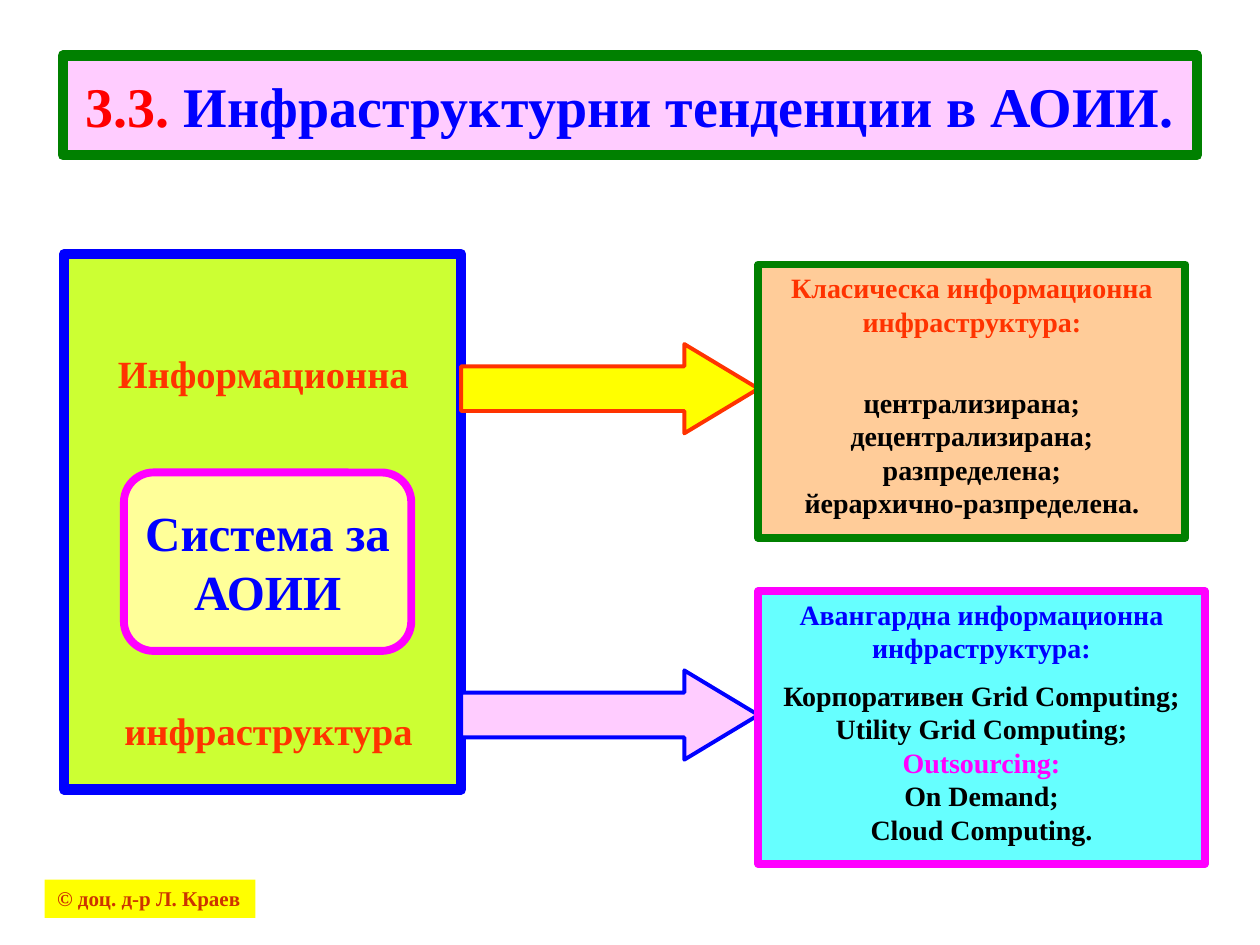
import pptx
import pptx.util
import pptx.dml.color
import pptx.enum.shapes
import pptx.enum.text

Pt = pptx.util.Pt
SHAPE = pptx.enum.shapes.MSO_SHAPE
ANCHOR = pptx.enum.text.MSO_ANCHOR
ALIGN = pptx.enum.text.PP_ALIGN

THEME = {
    "font": "Times New Roman",
    "sizes": {"title": 32, "system": 28, "label": 22, "body": 16, "credit": 12},
    "colors": {
        "red": "FF0000", "blue": "0000FF", "green": "008000", "pink": "FFCCFF",
        "yellow": "FFFF00", "brick": "CC3300", "lime": "CCFF33", "cream": "FFFF99",
        "magenta": "FF00FF", "orange": "FF3300", "peach": "FFCC99",
        "cyan": "66FFFF", "black": "000000",
    },
}

TITLE = [(0, [("3.3. ", "red"), ("Инфраструктурни тенденции в АОИИ.", "blue")])]
CREDIT = [(0, [("© доц. д-р Л. Краев", "brick")])]
SYSTEM = [(0, [("Система за\nАОИИ", "blue")])]
LABELS = [
    ("Информационна", (48.2, 196.6, 204.5, 33.8)),
    ("инфраструктура", (59.8, 400.3, 187.2, 33.8)),
]
BRANCHES = [
    {
        "arrow": ("yellow", "orange"), "box": ("peach", "green"), "width": 244,
        "text": [
            (0, [("Класическа информационна\nинфраструктура:", "orange")]),
            (27, [("централизирана;\nдецентрализирана;\nразпределена;\n"
                   "йерархично-разпределена.", "black")]),
        ],
    },
    {
        "arrow": ("pink", "blue"), "box": ("cyan", "magenta"), "width": 255,
        "text": [
            (0, [("Авангардна информационна\nинфраструктура:", "blue")]),
            (8, [("Корпоративен Grid Computing;\nUtility Grid Computing;\n", "black"),
                 ("Outsourcing:\n", "magenta"),
                 ("On Demand;\nCloud Computing.", "black")]),
        ],
    },
]
BRANCH_LEFT, BRANCH_RIGHT = 263.5, 433.4
ARROW_TOP, BOX_TOP, BRANCH_STEP = 196.6, 151.2, 186.5


def color(name):
    return pptx.dml.color.RGBColor.from_string(THEME["colors"][name])


def add_shape(page, kind, place, fill, line=None, weight=0):
    shape = page.shapes.add_shape(kind, *map(Pt, place))
    shape.shadow.inherit = False
    shape.fill.solid()
    shape.fill.fore_color.rgb = color(fill)
    if line:
        shape.line.color.rgb = color(line)
        shape.line.width = Pt(weight)
    else:
        shape.line.fill.background()
    return shape


def write(shape, paragraphs, size, anchor=ANCHOR.TOP, align=ALIGN.CENTER, wrap=True):
    frame = shape.text_frame
    frame.word_wrap = wrap
    frame.vertical_anchor = anchor
    for index, (space, spans) in enumerate(paragraphs):
        para = frame.add_paragraph() if index else frame.paragraphs[0]
        para.alignment = align
        para.space_before = Pt(space)
        for text, tint in spans:
            for row, words in enumerate(text.split("\n")):
                if row:
                    para.add_line_break()
                if words:
                    span = para.add_run()
                    span.text = words
                    span.font.name = THEME["font"]
                    span.font.size = Pt(THEME["sizes"][size])
                    span.font.bold = True
                    span.font.color.rgb = color(tint)


def main():
    deck = pptx.Presentation()
    deck.slide_width, deck.slide_height = Pt(720), Pt(540)
    page = deck.slides.add_slide(deck.slide_layouts[6])

    title = add_shape(page, SHAPE.RECTANGLE, (36, 31.7, 648, 57), "pink", "green", 6)
    write(title, TITLE, "title", ANCHOR.MIDDLE)

    credit = add_shape(page, SHAPE.RECTANGLE, (25.5, 502.7, 120.5, 21.8), "yellow")
    write(credit, CREDIT, "credit", align=ALIGN.LEFT, wrap=False)

    add_shape(page, SHAPE.RECTANGLE, (36.7, 145.2, 226.8, 306), "lime", "blue", 6)
    system = add_shape(page, SHAPE.FLOWCHART_ALTERNATE_PROCESS,
                       (70.8, 270, 164.2, 102), "cream", "magenta", 4.5)
    write(system, SYSTEM, "system", ANCHOR.MIDDLE, wrap=False)

    for text, place in LABELS:
        label = page.shapes.add_textbox(*map(Pt, place))
        write(label, [(0, [(text, "orange")])], "label")

    for index, branch in enumerate(BRANCHES):
        shift = index * BRANCH_STEP
        arrow_place = (BRANCH_LEFT, ARROW_TOP + shift, BRANCH_RIGHT - BRANCH_LEFT, 51)
        arrow = add_shape(page, SHAPE.RIGHT_ARROW, arrow_place, *branch["arrow"], 2.25)
        arrow.adjustments[0] = 0.5
        arrow.adjustments[1] = 0.83
        box_place = (BRANCH_RIGHT, BOX_TOP + shift, branch["width"], 156.2)
        box = add_shape(page, SHAPE.RECTANGLE, box_place, *branch["box"], 4.5)
        write(box, branch["text"], "body")

    deck.save("out.pptx")


if __name__ == "__main__":
    main()
